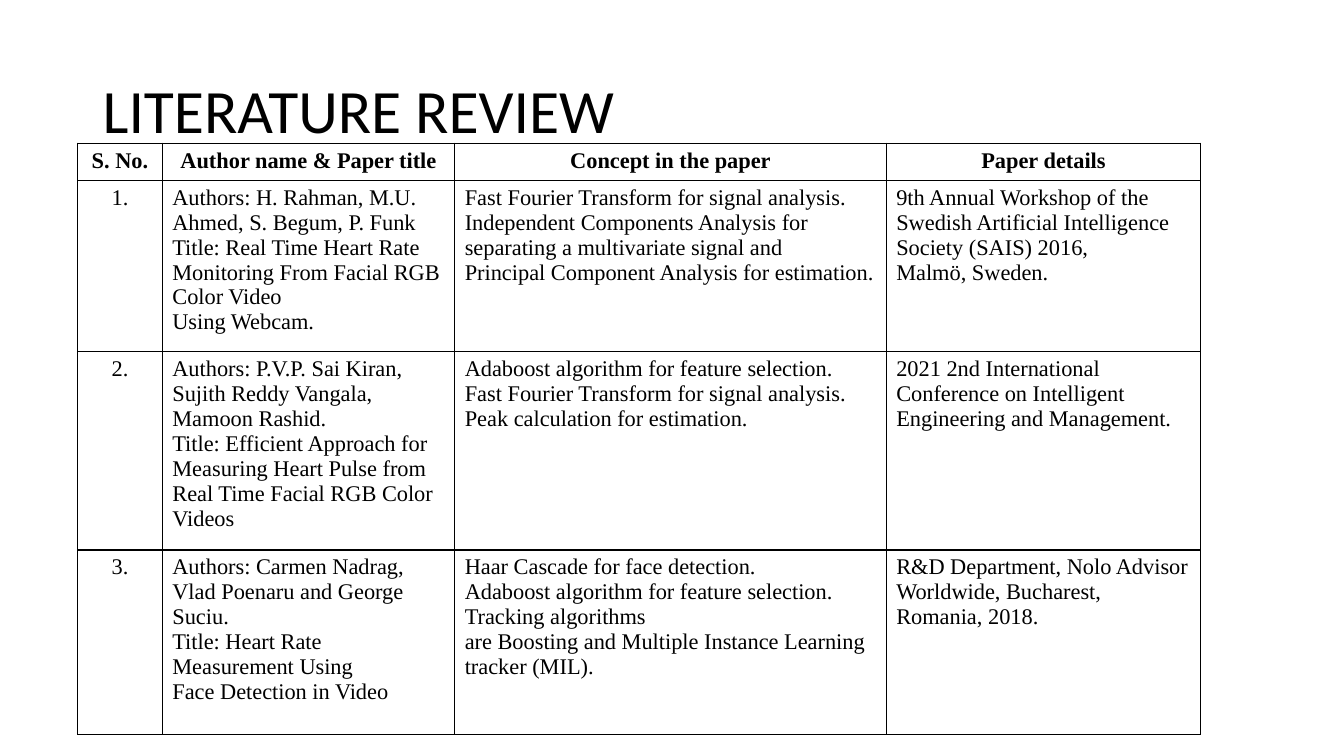
from lxml import etree
from pptx import Presentation
from pptx.dml.color import RGBColor
from pptx.enum.text import MSO_ANCHOR, PP_ALIGN
from pptx.oxml.ns import qn
from pptx.util import Inches, Pt

BLACK = RGBColor(0x00, 0x00, 0x00)
WHITE = RGBColor(0xFF, 0xFF, 0xFF)
MIDDLE = MSO_ANCHOR.MIDDLE
CENTER = PP_ALIGN.CENTER
LEFT = PP_ALIGN.LEFT

COLUMN_WIDTHS = [0.84, 2.9, 4.28, 3.12]
ROW_HEIGHTS = [0.37, 1.57, 1.83, 1.83]
REVIEW_ROWS = [
    ["S. No.", "Author name & Paper title", "Concept in the paper", "Paper details"],
    [
        "1.",
        "Authors: H. Rahman, M.U. Ahmed, S. Begum, P. Funk\n"
        "Title: Real Time Heart Rate Monitoring From Facial RGB Color Video\n"
        "Using Webcam.",
        "Fast Fourier Transform for signal analysis.\n"
        "Independent Components Analysis for separating a multivariate signal and\n"
        "Principal Component Analysis for estimation.",
        "9th Annual Workshop of the Swedish Artificial Intelligence Society (SAIS) 2016,\n"
        "Malmö, Sweden.",
    ],
    [
        "2.",
        "Authors: P.V.P. Sai Kiran, Sujith Reddy Vangala, Mamoon Rashid.\n"
        "Title: Efficient Approach for Measuring Heart Pulse from "
        "Real Time Facial RGB Color Videos",
        "Adaboost algorithm for feature selection.\n"
        "Fast Fourier Transform for signal analysis.\n"
        "Peak calculation for estimation.",
        "2021 2nd International Conference on Intelligent Engineering and Management.",
    ],
    [
        "3.",
        "Authors: Carmen Nadrag, Vlad Poenaru and George Suciu.\n"
        "Title: Heart Rate Measurement Using\n"
        "Face Detection in Video",
        "Haar Cascade for face detection.\n"
        "Adaboost algorithm for feature selection.\n"
        "Tracking algorithms\n"
        "are Boosting and Multiple Instance Learning tracker (MIL).",
        "R&D Department, Nolo Advisor Worldwide, Bucharest, Romania, 2018.",
    ],
]


def add_borders(cell):
    properties = cell._tc.get_or_add_tcPr()
    for position, side in enumerate(["a:lnL", "a:lnR", "a:lnT", "a:lnB"]):
        line = etree.Element(qn(side), w=str(Pt(1)))
        fill = etree.SubElement(line, qn("a:solidFill"))
        etree.SubElement(fill, qn("a:srgbClr"), val=str(BLACK))
        properties.insert(position, line)


deck = Presentation()
deck.slide_width = Inches(13.33)
deck.slide_height = Inches(7.5)
page = deck.slides.add_slide(deck.slide_layouts[6])

title_box = page.shapes.add_textbox(Inches(0.92), Inches(0.4), Inches(11.5), Inches(1.45))
title_frame = title_box.text_frame
title_frame.word_wrap = True
title_frame.vertical_anchor = MIDDLE
title_frame.text = "LITERATURE REVIEW"
title_para = title_frame.paragraphs[0]
title_para.line_spacing = 0.9
title_font = title_para.runs[0].font
title_font.name = "Calibri"
title_font.size = Pt(44)
title_font.color.rgb = BLACK

review_table = page.shapes.add_table(
    len(ROW_HEIGHTS), len(COLUMN_WIDTHS), Inches(0.77), Inches(1.42),
    Inches(sum(COLUMN_WIDTHS)), Inches(sum(ROW_HEIGHTS))).table
for column, width in zip(review_table.columns, COLUMN_WIDTHS):
    column.width = Inches(width)
for row, height in zip(review_table.rows, ROW_HEIGHTS):
    row.height = Inches(height)

for row_index, row_texts in enumerate(REVIEW_ROWS):
    for column_index, text in enumerate(row_texts):
        cell = review_table.cell(row_index, column_index)
        cell.fill.solid()
        cell.fill.fore_color.rgb = WHITE
        add_borders(cell)
        cell.text_frame.text = text
        is_header = row_index == 0
        for para in cell.text_frame.paragraphs:
            para.alignment = CENTER if is_header or column_index == 0 else LEFT
            for span in para.runs:
                span.font.name = "Times New Roman"
                span.font.size = Pt(16)
                span.font.bold = is_header
                span.font.color.rgb = BLACK

deck.save("out.pptx")
